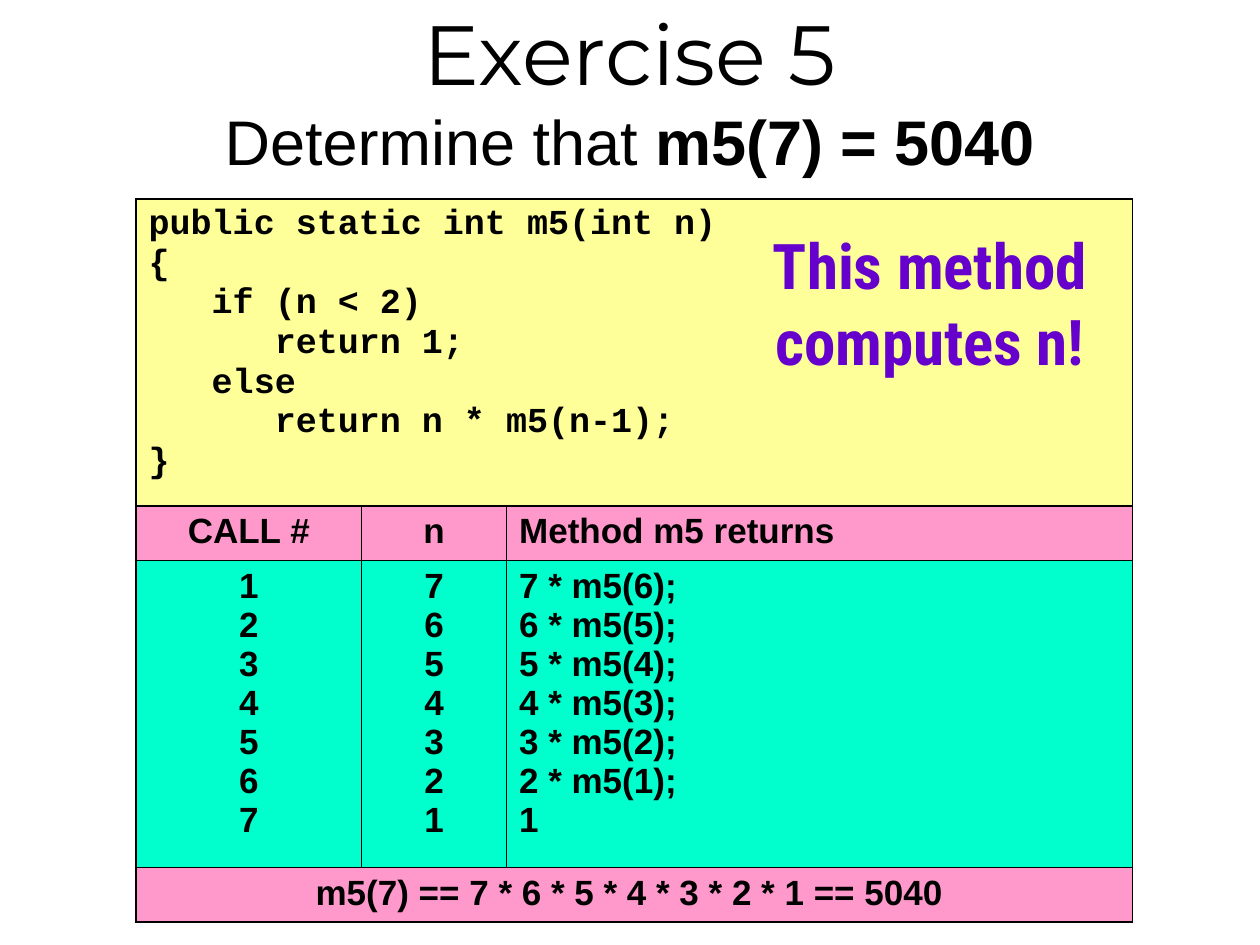
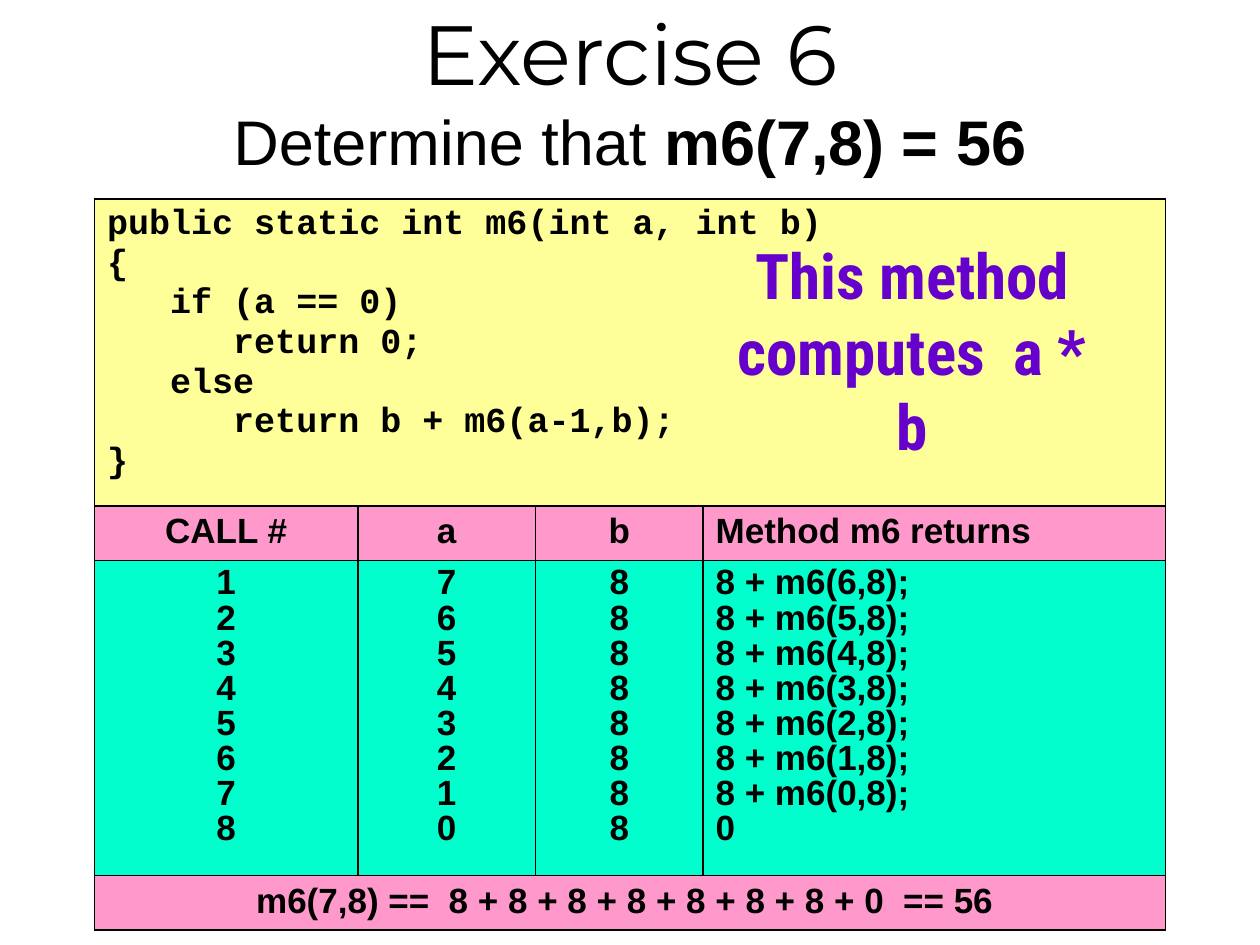
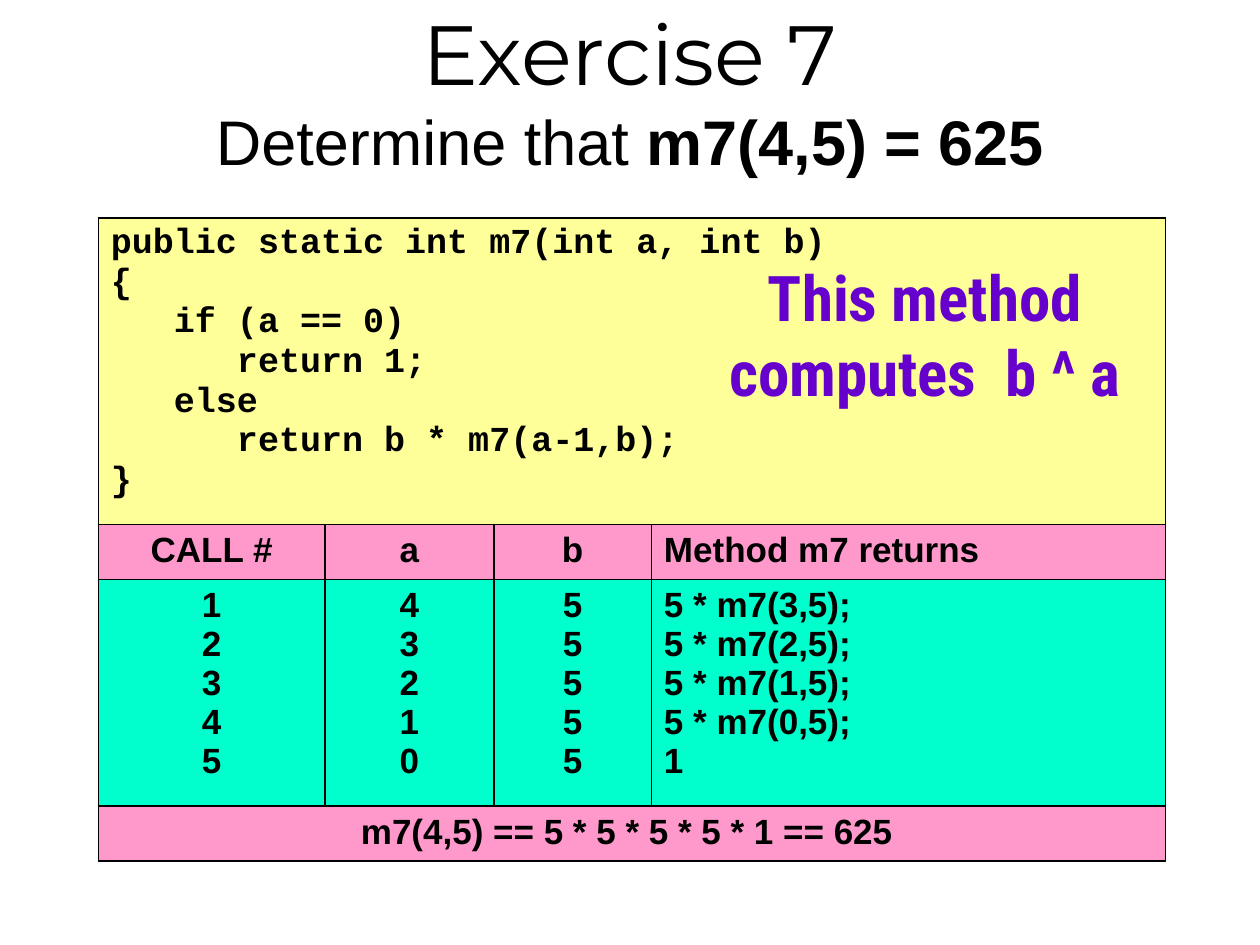
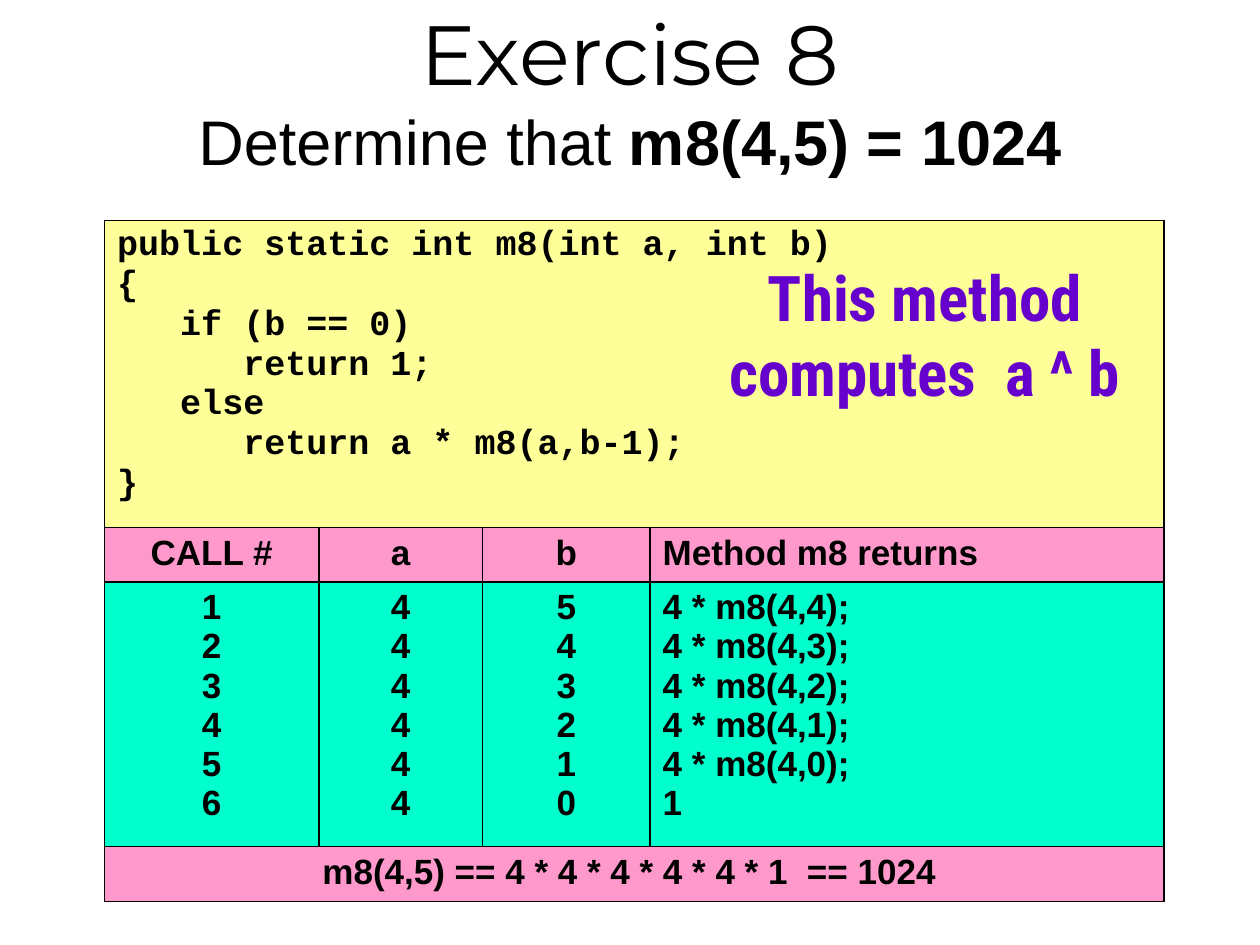
import lxml.etree
import pptx
import pptx.dml.color
import pptx.enum.text
import pptx.oxml
import pptx.oxml.ns
import pptx.util

Inches = pptx.util.Inches
Pt = pptx.util.Pt
ALIGN = pptx.enum.text.PP_ALIGN
ANCHOR = pptx.enum.text.MSO_ANCHOR
INK, CODE, BAND, BODY = "000000", "FFFF99", "FF99CC", "00FFCC"
NOTE = ("6600CC", "CC00CC")
EDGE = "CC99FF"
TITLE = {"name": "Montserrat", "size": Pt(48), "bold": False}
LEAD = {"name": "Arial", "size": Pt(36), "bold": False}
CLAIM = {**LEAD, "bold": True}
CELL = {"name": "Arial", "size": Pt(20), "bold": True}
MONO = {**CELL, "name": "Courier New"}
CALLOUT = {"name": "Roboto Condensed", "size": Pt(36), "bold": True}

TASKS = [
    {
        "num": 5, "goal": "m5(7) = 5040", "args": "int n",
        "test": "n < 2", "base": 1, "step": "n * m5(n-1)",
        "heads": ["n"], "vals": ["7654321"],
        "outs": [f"{n} * m5({n - 1});" for n in range(7, 1, -1)] + ["1"],
        "total": "m5(7) == 7 * 6 * 5 * 4 * 3 * 2 * 1 == 5040 ",
        "grid": (1.08, 1.58), "cols": [1.79, 1.15, 4.97],
        "deep": 2.43, "gap": 1.0,
        "claim": "computes n!", "note": (5.92, 1.75, 2.92, 1.92),
    },
    {
        "num": 6, "goal": "m6(7,8) = 56", "args": "int a, int b",
        "test": "a == 0", "base": 0, "step": "b + m6(a-1,b)",
        "heads": ["a", "b"], "vals": ["76543210", "8" * 8],
        "outs": [f"8 + m6({a},8);" for a in range(6, -1, -1)] + ["0"],
        "total": "m6(7,8) ==  8 + 8 + 8 + 8 + 8 + 8 + 8 + 0  == 56 ",
        "grid": (0.75, 1.58), "cols": [2.09, 1.41, 1.33, 3.67],
        "deep": 2.5, "gap": 0.9,
        "claim": "computes  a * b", "note": (5.58, 1.83, 3.32, 2),
    },
    {
        "num": 7, "goal": "m7(4,5) = 625", "args": "int a, int b",
        "test": "a == 0", "base": 1, "step": "b * m7(a-1,b)",
        "heads": ["a", "b"], "vals": ["43210", "5" * 5],
        "outs": [f"5 * m7({a},5);" for a in range(3, -1, -1)] + ["1"],
        "total": "m7(4,5) == 5 * 5 * 5 * 5 * 1 == 625 ",
        "grid": (0.78, 1.73), "cols": [1.8, 1.34, 1.25, 4.08],
        "deep": 1.8, "gap": 1.0,
        "claim": "computes  b ^ a", "note": (5.68, 2, 3.32, 2),
    },
    {
        "num": 8, "goal": "m8(4,5) = 1024", "args": "int a, int b",
        "test": "b == 0", "base": 1, "step": "a * m8(a,b-1)",
        "heads": ["a", "b"], "vals": ["4" * 6, "543210"],
        "outs": [f"4 * m8(4,{b});" for b in range(4, -1, -1)] + ["1"],
        "total": "m8(4,5) == 4 * 4 * 4 * 4 * 4 * 1  == 1024 ",
        "grid": (0.83, 1.75), "cols": [1.7, 1.3, 1.33, 4.08],
        "deep": 2.1, "gap": 1.0,
        "claim": "computes  a ^ b", "note": (5.68, 2, 3.32, 2),
    },
]


def paint(fill, tone):
    """Fill with one solid colour."""
    fill.solid()
    fill.fore_color.rgb = pptx.dml.color.RGBColor.from_string(tone)


def style(thing, looks):
    """Set each attribute that the format dict names."""
    for key, val in looks.items():
        setattr(thing, key, val)


def line(node, tag, tone, width):
    """Put a solid line element first in a node."""
    edge = node.makeelement(pptx.oxml.ns.qn(f"a:{tag}"), {"w": str(Pt(width))})
    fill = lxml.etree.SubElement(edge, pptx.oxml.ns.qn("a:solidFill"))
    lxml.etree.SubElement(fill, pptx.oxml.ns.qn("a:srgbClr"), val=tone)
    node.insert(0, edge)


def add_box(slide, box, looks):
    """Add a text box and return its frame."""
    frame = slide.shapes.add_textbox(*map(Inches, box)).text_frame
    style(frame, looks)
    return frame


def add_head(slide, box, task):
    """Write the exercise title and its claim on two lines."""
    frame = add_box(slide, box, {"word_wrap": True, "vertical_anchor": ANCHOR.MIDDLE})
    para = frame.paragraphs[0]
    para.alignment = ALIGN.CENTER
    parts = [(f"Exercise {task['num']}", TITLE), ("Determine that", LEAD),
             (f" {task['goal']}", CLAIM)]
    for text, font in parts:
        run = para.add_run()
        run.text = text
        style(run.font, font)
        paint(run.font.fill, INK)
        if font is TITLE:
            para.add_line_break()


def add_note(slide, box, claim):
    """Write the callout in outlined gradient letters."""
    frame = add_box(slide, box, {"word_wrap": False})
    frame.text = f"This method\n{claim}"
    for para in frame.paragraphs:
        para.alignment = ALIGN.CENTER
        font = para.runs[0].font
        style(font, CALLOUT)
        font.fill.gradient()
        font.fill.gradient_angle = 270
        for stop, tone in zip(font.fill.gradient_stops, NOTE):
            stop.color.rgb = pptx.dml.color.RGBColor.from_string(tone)
        line(font.fill._xPr, "ln", EDGE, 0.75)


def fill_cell(cell, text, tone, font, looks):
    """Write and colour one table cell."""
    cell.text = text
    paint(cell.fill, tone)
    for para in cell.text_frame.paragraphs:
        style(para, looks)
        for run in para.runs:
            style(run.font, font)
            paint(run.font.fill, INK)


def code(task):
    """Return the source text of the method."""
    return "\n".join([
        f"public static int m{task['num']}({task['args']})",
        "{",
        f"   if ({task['test']})",
        f"      return {task['base']};",
        "   else",
        f"      return {task['step']};",
        "}",
    ])


def add_grid(slide, spot, task):
    """Build the trace table: code, heads, calls and total."""
    cols, rows = task["cols"], [2.43, 0.43, task["deep"], 0.43]
    size = (sum(cols), sum(rows))
    table = slide.shapes.add_table(len(rows), len(cols), *map(Inches, spot + size)).table
    style(table, {"first_row": False, "horz_banding": False})
    for col, width in zip(table.columns, cols):
        col.width = Inches(width)
    for row, height in zip(table.rows, rows):
        row.height = Inches(height)
    for cell in table.iter_cells():
        for tag in ("lnB", "lnT", "lnR", "lnL"):
            line(cell._tc.get_or_add_tcPr(), tag, INK, 1)
    last = len(cols) - 1
    for row in (0, 3):
        table.cell(row, 0).merge(table.cell(row, last))
    left, mid = {"alignment": ALIGN.LEFT}, {"alignment": ALIGN.CENTER}
    fill_cell(table.cell(0, 0), code(task), CODE, MONO, left)
    heads = ["CALL #", *task["heads"], f"Method m{task['num']} returns"]
    calls = [str(i + 1) for i in range(len(task["outs"]))]
    for i, (head, vals) in enumerate(zip(heads, [calls, *task["vals"], task["outs"]])):
        side = left if i == last else mid
        fill_cell(table.cell(1, i), head, BAND, CELL, side)
        fill_cell(table.cell(2, i), "\n".join(vals), BODY, CELL,
                  {**side, "line_spacing": task["gap"]})
    fill_cell(table.cell(3, 0), task["total"], BAND, CELL, mid)


def main():
    """Build one slide for each exercise."""
    deck = pptx.Presentation()
    style(deck, {"slide_width": Inches(10), "slide_height": Inches(7.5)})
    for task in TASKS:
        slide = deck.slides.add_slide(deck.slide_layouts[6])
        add_head(slide, (0, 0, 10, 1.42), task)
        add_grid(slide, task["grid"], task)
        add_note(slide, task["note"], task["claim"])
    deck.save("out.pptx")


if __name__ == "__main__":
    main()
